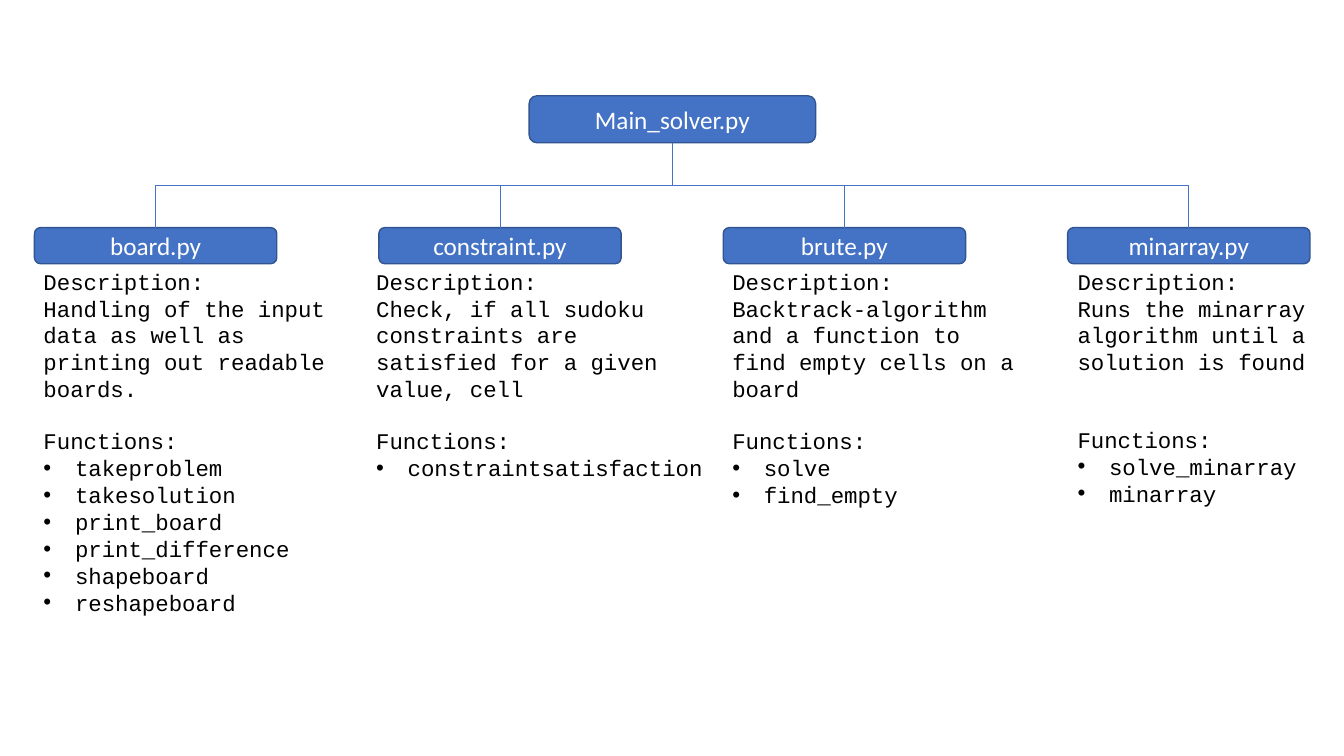
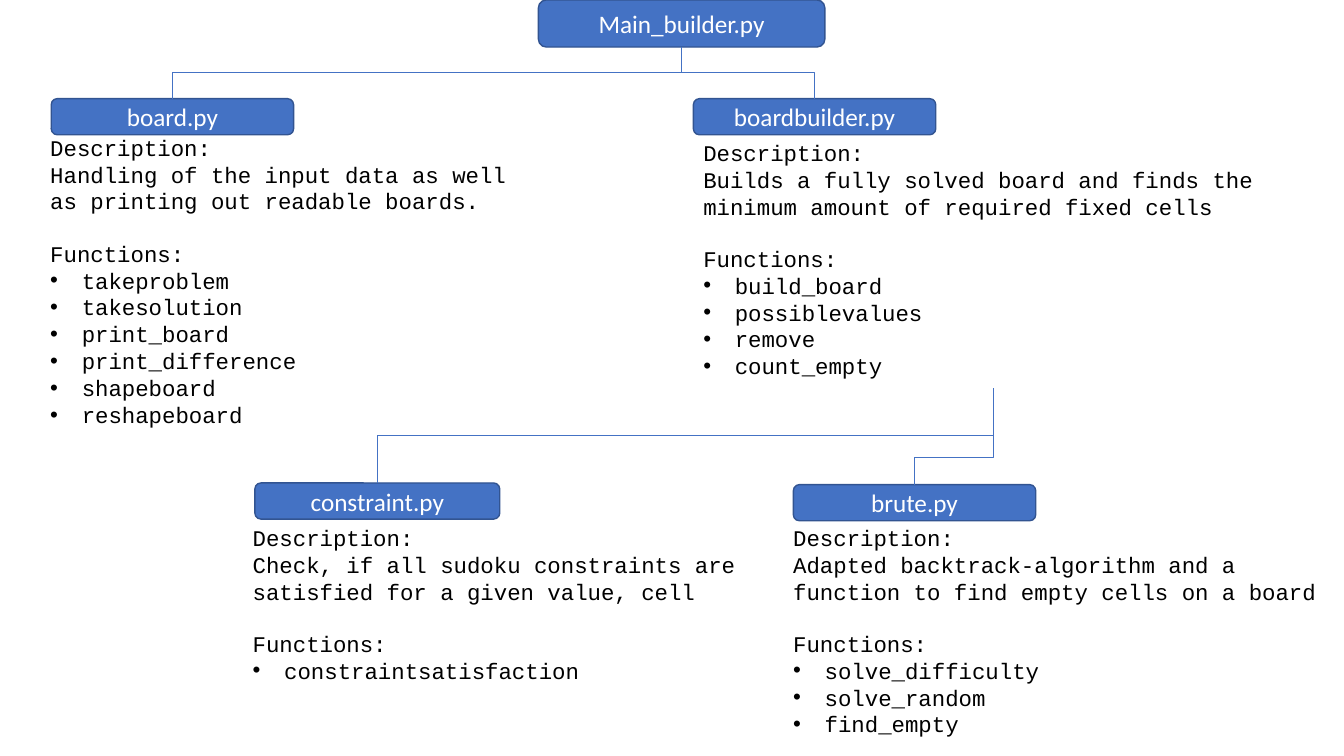
"""Build two module diagrams: the solver and the board builder."""
from dataclasses import dataclass

import pptx
import pptx.dml.color
import pptx.enum.shapes
import pptx.enum.text
import pptx.oxml.ns
import pptx.oxml.xmlchemy
import pptx.presentation
import pptx.shapes.base
import pptx.slide
import pptx.text.text
import pptx.util


@dataclass(frozen=True)
class Theme:
    """Colours, fonts and point sizes shared by the slides."""
    box: str = "4472C4"
    edge: str = "325491"
    label: str = "FFFFFF"
    body: str = "000000"
    label_font: str = "Calibri"
    body_font: str = "Courier New"
    label_size: float = 18
    body_size: float = 16
    body_line: float = 18.1
    edge_width: float = 1
    link_width: float = 0.5
    indent: float = 22.5


@dataclass(frozen=True)
class Rect:
    """An area in grid columns and rows."""
    col: float
    row: float
    cols: float
    rows: float

    def emu(self) -> tuple[int, int, int, int]:
        """Return left, top, width and height as lengths."""
        return (int(self.col * COL), int(self.row * ROW),
                int(self.cols * COL), int(self.rows * ROW))


@dataclass(frozen=True)
class Module:
    """A Python file, what it does and the functions it holds."""
    name: str
    description: str
    functions: tuple[str, ...]
    gap_lines: int = 1


@dataclass(frozen=True)
class Node:
    """A module placed on a slide: its box and the text below it."""
    module: Module
    box: Rect
    notes: Rect


@dataclass(frozen=True)
class Link:
    """An elbow to a node, from the root or from another node's text."""
    child: int
    parent: int | None = None
    bend: float = 0.5


@dataclass(frozen=True)
class Diagram:
    """One slide: a root file, its modules and the links between them."""
    root: str
    root_box: Rect
    nodes: tuple[Node, ...]
    links: tuple[Link, ...]


THEME = Theme()
GRID_COLS, GRID_ROWS = 32, 18
SLIDE_W, SLIDE_H = pptx.util.Inches(40 / 3), pptx.util.Inches(7.5)
COL, ROW = SLIDE_W / GRID_COLS, SLIDE_H / GRID_ROWS
ROOT_COLS, ROOT_ROWS = 6.82, 1.12
BOX_COLS, BOX_ROWS = 5.77, 0.86
BOTTOM_SITE, TOP_SITE = 2, 0

BOARD = Module(
    "board.py",
    "Handling of the input data as well as printing out readable boards.",
    ("takeproblem", "takesolution", "print_board", "print_difference",
     "shapeboard", "reshapeboard"))
CONSTRAINT = Module(
    "constraint.py",
    "Check, if all sudoku constraints are satisfied for a given value, cell",
    ("constraintsatisfaction",))
BRUTE = Module(
    "brute.py",
    "Backtrack-algorithm and a function to find empty cells on a board",
    ("solve", "find_empty"))
MINARRAY = Module(
    "minarray.py", "Runs the minarray algorithm until a solution is found",
    ("solve_minarray", "minarray"), gap_lines=2)
BOARDBUILDER = Module(
    "boardbuilder.py",
    "Builds a fully solved board and finds the minimum amount of required "
    "fixed cells",
    ("build_board", "possiblevalues", "remove", "count_empty"))
ADAPTED_BRUTE = Module(
    "brute.py",
    "Adapted backtrack-algorithm and a function to find empty cells on a board",
    ("solve_difficulty", "solve_random", "find_empty"))


def module_box(col: float, row: float, cols: float = BOX_COLS) -> Rect:
    """Return the area of a module's box."""
    return Rect(col, row, cols, BOX_ROWS)


def solver_node(index: int, module: Module, col: float, cols: float,
                rows: float) -> Node:
    """Place a module in one of the solver's four equal columns."""
    return Node(module, module_box(0.82 + 8.2 * index, 5.42),
                Rect(col, 6.26, cols, rows))


SOLVER = Diagram(
    "Main_solver.py", Rect(12.6, 2.28, ROOT_COLS, ROOT_ROWS),
    (solver_node(0, BOARD, 0.8, 7.27, 8.64),
     solver_node(1, CONSTRAINT, 8.72, 8.38, 5.42),
     solver_node(2, BRUTE, 17.2, 7.27, 6.05),
     solver_node(3, MINARRAY, 25.42, 7.27, 6.05)),
    tuple(Link(child) for child in range(4)))

BUILDER = Diagram(
    "Main_builder.py", Rect(12.82, 0, ROOT_COLS, ROOT_ROWS),
    (Node(BOARD, module_box(1.22, 2.35), Rect(0.96, 3.07, 11.71, 7.34)),
     Node(BOARDBUILDER, module_box(16.51, 2.35),
          Rect(16.51, 3.19, 14.26, 6.05)),
     Node(CONSTRAINT, module_box(6.07, 11.5, 5.83),
          Rect(5.78, 12.36, 12.05, 4.13)),
     Node(ADAPTED_BRUTE, module_box(18.89, 11.54),
          Rect(18.65, 12.36, 13.1, 5.42))),
    (Link(0), Link(1), Link(2, parent=1), Link(3, parent=1, bend=0.72)))


def rgb(value: str) -> pptx.dml.color.RGBColor:
    """Turn a hex string into a colour."""
    return pptx.dml.color.RGBColor.from_string(value)


def add_run(p: pptx.text.text._Paragraph, text: str, font: str, size: float,
            colour: str) -> None:
    """Append a formatted run to a paragraph."""
    r = p.add_run()
    r.text = text
    r.font.name = font
    r.font.size = pptx.util.Pt(size)
    r.font.color.rgb = rgb(colour)


def add_bullet(p: pptx.text.text._Paragraph) -> None:
    """Give a paragraph a hanging round bullet."""
    pPr = p._p.get_or_add_pPr()
    indent = pptx.util.Pt(THEME.indent)
    pPr.set("marL", str(indent))
    pPr.set("indent", str(-indent))
    for tag, name, value in (("a:buFont", "typeface", "Arial"),
                             ("a:buChar", "char", "\u2022")):
        mark = pptx.oxml.xmlchemy.OxmlElement(tag)
        mark.set(name, value)
        pPr.append(mark)


def add_box(slide: pptx.slide.Slide, rect: Rect,
            name: str) -> pptx.shapes.base.BaseShape:
    """Draw a rounded box labelled with a file name."""
    sp = slide.shapes.add_shape(
        pptx.enum.shapes.MSO_SHAPE.FLOWCHART_ALTERNATE_PROCESS, *rect.emu())
    sp.shadow.inherit = False
    sp.fill.solid()
    sp.fill.fore_color.rgb = rgb(THEME.box)
    sp.line.color.rgb = rgb(THEME.edge)
    sp.line.width = pptx.util.Pt(THEME.edge_width)
    tf = sp.text_frame
    tf.vertical_anchor = pptx.enum.text.MSO_ANCHOR.MIDDLE
    p = tf.paragraphs[0]
    p.alignment = pptx.enum.text.PP_ALIGN.CENTER
    add_run(p, name, THEME.label_font, THEME.label_size, THEME.label)
    return sp


def add_notes(slide: pptx.slide.Slide, rect: Rect,
              module: Module) -> pptx.shapes.base.BaseShape:
    """Write a module's description and its list of functions."""
    sp = slide.shapes.add_textbox(*rect.emu())
    tf = sp.text_frame
    tf.word_wrap = True
    tf.auto_size = pptx.enum.text.MSO_AUTO_SIZE.SHAPE_TO_FIT_TEXT
    heading = "Functions:"
    lines = ("Description:", module.description, heading, *module.functions)
    for i, text in enumerate(lines):
        p = tf.add_paragraph() if i else tf.paragraphs[0]
        if text == heading:
            p.space_before = pptx.util.Pt(THEME.body_line * module.gap_lines)
        if i > lines.index(heading):
            add_bullet(p)
        add_run(p, text, THEME.body_font, THEME.body_size, THEME.body)
    return sp


def add_link(slide: pptx.slide.Slide, parent: pptx.shapes.base.BaseShape,
             child: pptx.shapes.base.BaseShape, bend: float) -> None:
    """Join a parent's bottom to a child's top with a down-across-down elbow."""
    x1, y1 = parent.left + parent.width // 2, parent.top + parent.height
    x2, y2 = child.left + child.width // 2, child.top
    drop, run = y2 - y1, abs(x2 - x1)
    link = slide.shapes.add_connector(
        pptx.enum.shapes.MSO_CONNECTOR.ELBOW, x1, y1, x2, y2)
    link.begin_connect(parent, BOTTOM_SITE)
    link.end_connect(child, TOP_SITE)
    link.left, link.top = (x1 + x2 - drop) // 2, (y1 + y2 - run) // 2
    link.width, link.height = drop, run
    spPr = link._element.spPr
    rightward = x2 > x1
    turn = {"rot": "16200000" if rightward else "5400000",
            "flipH": "1" if rightward else "0", "flipV": "0"}
    for name, value in turn.items():
        spPr.xfrm.set(name, value)
    guide = pptx.oxml.xmlchemy.OxmlElement("a:gd")
    guide.set("name", "adj1")
    guide.set("fmla", f"val {round(bend * 100000)}")
    spPr.find(".//" + pptx.oxml.ns.qn("a:avLst")).append(guide)
    link.line.color.rgb = rgb(THEME.box)
    link.line.width = pptx.util.Pt(THEME.link_width)
    spPr.append(pptx.oxml.xmlchemy.OxmlElement("a:effectLst"))


def add_diagram(prs: pptx.presentation.Presentation, diagram: Diagram) -> None:
    """Add a slide that shows one diagram."""
    slide = prs.slides.add_slide(prs.slide_layouts.get_by_name("Blank"))
    root = add_box(slide, diagram.root_box, diagram.root)
    boxes = [add_box(slide, n.box, n.module.name) for n in diagram.nodes]
    notes = [add_notes(slide, n.notes, n.module) for n in diagram.nodes]
    for link in diagram.links:
        parent = root if link.parent is None else notes[link.parent]
        add_link(slide, parent, boxes[link.child], link.bend)


def main() -> None:
    """Build and save the presentation."""
    prs = pptx.Presentation()
    prs.slide_width, prs.slide_height = SLIDE_W, SLIDE_H
    for diagram in (SOLVER, BUILDER):
        add_diagram(prs, diagram)
    prs.save("out.pptx")


main()
